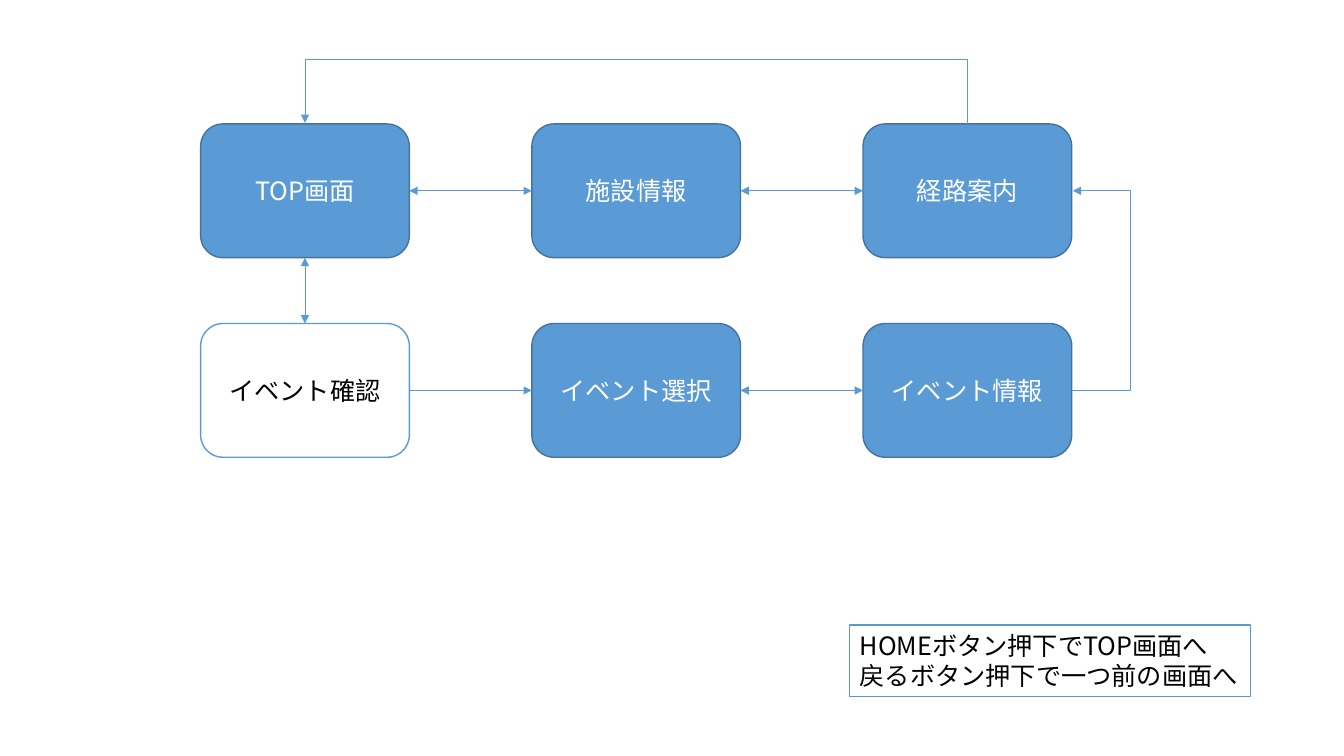
from dataclasses import dataclass

from lxml import etree
from pptx import Presentation
from pptx.dml.color import RGBColor
from pptx.enum.shapes import MSO_CONNECTOR, MSO_SHAPE
from pptx.enum.text import MSO_ANCHOR, MSO_AUTO_SIZE, PP_ALIGN
from pptx.oxml.ns import qn
from pptx.util import Inches, Pt

STRAIGHT, ELBOW = MSO_CONNECTOR.STRAIGHT, MSO_CONNECTOR.ELBOW
CARD = MSO_SHAPE.FLOWCHART_ALTERNATE_PROCESS
CENTER, MIDDLE = PP_ALIGN.CENTER, MSO_ANCHOR.MIDDLE
GROW = MSO_AUTO_SIZE.SHAPE_TO_FIT_TEXT
TOP, LEFT, BOTTOM, RIGHT = range(4)


@dataclass(frozen=True)
class Theme:
    font: str = "Noto Sans CJK JP"
    size: int = 18
    blue: str = "5B9BD5"
    edge: str = "43739E"
    white: str = "FFFFFF"
    black: str = "000000"
    border: float = 1
    wire: float = 0.5


class Flow:
    """Draws on a grid whose unit is the step from one screen to the next."""

    left, top = Inches(1.99), Inches(1.23)
    col, row = Inches(3.285), Inches(1.98)
    wide, high = 0.63, 0.67
    thin = Inches(0.01)

    def __init__(self, slide, theme):
        self.shapes, self.theme = slide.shapes, theme

    def frame(self, col, row, wide, high):
        return (round(self.left + col * self.col), round(self.top + row * self.row),
                round(wide * self.col), round(high * self.row))

    def paint(self, shape, fill, edge):
        shape.fill.solid()
        shape.fill.fore_color.rgb = RGBColor.from_string(fill)
        shape.line.color.rgb = RGBColor.from_string(edge)
        shape.line.width = Pt(self.theme.border)

    def style(self, para, color):
        font = para.font
        font.size, font.name = Pt(self.theme.size), self.theme.font
        font.color.rgb = RGBColor.from_string(color)
        props = para._p.pPr.find(qn("a:defRPr"))
        etree.SubElement(props, qn("a:ea"), typeface=self.theme.font)

    def card(self, text, col, row, plain=False):
        look = self.theme
        shape = self.shapes.add_shape(CARD, *self.frame(col, row, self.wide, self.high))
        shape.shadow.inherit = False
        self.paint(shape, *((look.white, look.blue) if plain else (look.blue, look.edge)))
        frame = shape.text_frame
        frame.text, frame.vertical_anchor = text, MIDDLE
        para = frame.paragraphs[0]
        para.alignment = CENTER
        self.style(para, look.black if plain else look.white)
        return shape

    def note(self, lines, *place):
        box = self.shapes.add_textbox(*self.frame(*place))
        self.paint(box, self.theme.white, self.theme.blue)
        frame = box.text_frame
        frame.word_wrap, frame.auto_size = False, GROW
        para = frame.paragraphs[0]
        for num, line in enumerate(lines):
            if num:
                para.add_line_break()
            para.add_run().text = line
        self.style(para, self.theme.black)

    def ink(self, wire, both):
        wire.line.color.rgb = RGBColor.from_string(self.theme.blue)
        wire.line.width = Pt(self.theme.wire)
        line = wire.line._get_or_add_ln()
        for end in ("headEnd", "tailEnd") if both else ("tailEnd",):
            etree.SubElement(line, qn(f"a:{end}"), type="triangle")
        etree.SubElement(wire._element.spPr, qn("a:effectLst"))

    def link(self, start, out, end, into, kind=STRAIGHT, both=True):
        wire = self.shapes.add_connector(kind, 0, 0, 0, 0)
        wire.begin_connect(start, out)
        wire.end_connect(end, into)
        self.ink(wire, both)

    def loop(self, start, end, side):
        """Runs out from one side of a card and back to the same side of another."""
        up = side == TOP
        if up:
            span, reach = start.left - end.left, 0.33 * self.row
            midx = (start.left + end.left + start.width) // 2
            midy = start.top - self.thin // 2
        else:
            span, reach = start.top - end.top, 0.18 * self.col
            midx = start.left + start.width + self.thin // 2
            midy = (start.top + end.top + start.height) // 2
        left, top = midx - self.thin // 2, midy - span // 2
        wire = self.shapes.add_connector(ELBOW, left, top + span, left + self.thin, top)
        props = wire._element.spPr
        if up:
            props.find(qn("a:xfrm")).set("rot", str(270 * 60000))
        geom = props.find(qn("a:prstGeom"))
        guides = geom.find(qn("a:avLst"))
        if guides is None:
            guides = etree.SubElement(geom, qn("a:avLst"))
        bend = round(reach / self.thin * 100000)
        etree.SubElement(guides, qn("a:gd"), name="adj1", fmla=f"val {bend}")
        self.ink(wire, both=False)


def main():
    deck = Presentation()
    deck.slide_width, deck.slide_height = Inches(13.33), Inches(7.5)
    flow = Flow(deck.slides.add_slide(deck.slide_layouts[6]), Theme())

    flow.note(["HOMEボタン押下でTOP画面へ", "戻るボタン押下で一つ前の画面へ"],
              1.96, 2.51, 1.21, 0.36)
    home, place, route = [flow.card(text, col, 0) for col, text in
                          enumerate(["TOP画面", "施設情報", "経路案内"])]
    check, pick, event = [flow.card(text, col, 1, plain=col == 0) for col, text in
                          enumerate(["イベント確認", "イベント選択", "イベント情報"])]

    for start, end in ((home, place), (place, route), (pick, event)):
        flow.link(start, RIGHT, end, LEFT)
    flow.link(home, BOTTOM, check, TOP)
    flow.link(check, RIGHT, pick, LEFT, ELBOW, both=False)
    flow.loop(route, home, TOP)
    flow.loop(event, route, RIGHT)
    deck.save("out.pptx")


if __name__ == "__main__":
    main()
